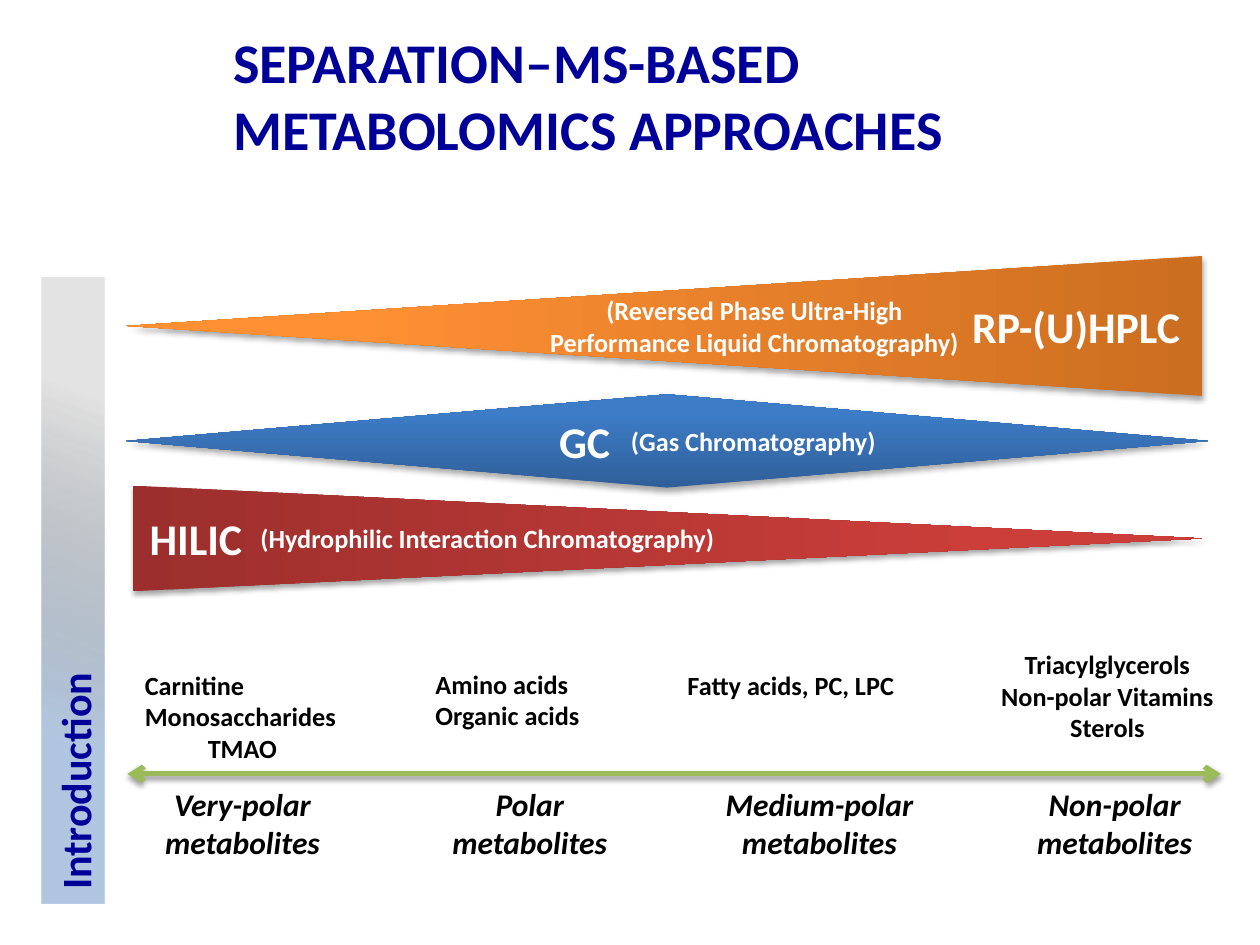
from lxml import etree
from pptx import Presentation
from pptx.dml.color import RGBColor
from pptx.enum.shapes import MSO_CONNECTOR, MSO_SHAPE
from pptx.enum.text import MSO_ANCHOR, PP_ALIGN
from pptx.oxml.ns import qn
from pptx.util import Cm, Pt

LEFT, CENTER = PP_ALIGN.LEFT, PP_ALIGN.CENTER
MIDDLE = MSO_ANCHOR.MIDDLE
RECTANGLE, TRAPEZOID = MSO_SHAPE.RECTANGLE, MSO_SHAPE.TRAPEZOID
DIAMOND = MSO_SHAPE.FLOWCHART_DECISION
STRAIGHT = MSO_CONNECTOR.STRAIGHT

FONT = "Calibri"
COLORS = {
    "navy": "000099", "black": "000000", "white": "FFFFFF",
    "axis": "9BBB59", "rail": "7AA0CC",
    "orange_dark": "CC6E20", "orange": "FF9034",
    "blue_dark": "2F5F99", "blue": "3D7CC7",
    "red_dark": "9C2F2D", "red": "CB3E3A",
}

BANDS = [
    ((2.55, 5.16, 21.69, 2.82), -90, "orange",
     ("RP-(U)HPLC", 16.8, 4.93, LEFT),
     ("(Reversed Phase Ultra-High Performance Liquid Chromatography)",
      8.09, 9.14, 1.55, CENTER)),
    ((2.54, 7.95, 21.82, 1.88), 0, "blue",
     ("GC", 7.67, 3.15, CENTER),
     ("(Gas Chromatography)", 9.93, 5.49, 0.89, LEFT)),
    ((2.68, 9.79, 21.56, 2.13), 90, "red",
     ("HILIC", -0.14, 2.82, CENTER),
     ("(Hydrophilic Interaction Chromatography)", 2.32, 9.75, 0.89, LEFT)),
]

CLASSES = [
    ("Very-polar metabolites", 2.32,
     "Carnitine\nMonosaccharides\n\tTMAO", (0.1, 0.41, 4.5, 2.18), LEFT),
    ("Polar metabolites", 8.11,
     "Amino acids\nOrganic acids", (5.96, 0.39, 3.43, 1.55), LEFT),
    ("Medium-polar metabolites", 13.95,
     "Fatty acids, PC, LPC", (11.04, 0.41, 4.75, 0.89), LEFT),
    ("Non-polar metabolites", 19.9,
     "Triacylglycerols\nNon-polar Vitamins\nSterols",
     (17.34, 0, 4.83, 2.18), CENTER),
]


def rgb(name):
    """Return the named colour."""
    return RGBColor.from_string(COLORS[name])


def add_text(page, box, text, size, color, align=LEFT, wrap=True, italic=False):
    """Add a bold text box whose lines share one format."""
    label = page.shapes.add_textbox(*map(Cm, box))
    frame = label.text_frame
    frame.word_wrap = wrap
    frame.text = text
    for para in frame.paragraphs:
        para.alignment = align
        for span in para.runs:
            span.font.name = FONT
            span.font.size = Pt(size)
            span.font.bold = True
            span.font.italic = italic
            span.font.color.rgb = rgb(color)
    return label


def add_gradient(shape, angle, stops):
    """Fill a shape with a two-stop gradient and remove its outline."""
    shape.line.fill.background()
    shape.fill.gradient()
    shape.fill.gradient_angle = angle
    for stop, (position, color) in zip(shape.fill.gradient_stops, stops):
        stop.position = position
        stop.color.rgb = rgb(color)


def add_rail(page, box, title):
    """Draw the translucent side rail with its upward section title."""
    left, top, width, height = box
    rail = page.shapes.add_shape(RECTANGLE, *map(Cm, box))
    rail.shadow.inherit = False
    add_gradient(rail, 70, [(0.26, "rail"), (0.81, "black")])
    for color, alpha in zip(rail.fill._xPr.iter(qn("a:srgbClr")), (58000, 11000)):
        etree.SubElement(color, qn("a:alpha")).set("val", str(alpha))
    length, depth = 12.5, 1.27
    center_x, center_y = left + width / 2 + 0.03, top + height / 2 + 0.04
    label = add_text(page, (center_x - length / 2, center_y - depth / 2,
                            length, depth), title, 24, "navy")
    label.rotation = 270


def add_band(page, box, rotation, color, name, note):
    """Draw one technique band with its name and explanation."""
    left, top, width, height = box
    middle = top + height / 2
    across, along = (height, width) if rotation else (width, height)
    frame = (left + (width - across) / 2, middle - along / 2, across, along)
    kind = TRAPEZOID if rotation else DIAMOND
    band = page.shapes.add_shape(kind, *map(Cm, frame))
    band.rotation = rotation
    if rotation:
        band.adjustments[0] = 0.5
    add_gradient(band, 90, [(0, color + "_dark"), (0.8, color)])
    text, offset, text_width, align = name
    add_text(page, (left + offset, middle - 0.66, text_width, 1.32),
             text, 25, "white", align).text_frame.vertical_anchor = MIDDLE
    text, offset, text_width, text_height, align = note
    add_text(page, (left + offset, middle - text_height / 2, text_width, text_height),
             text, 15, "white", align,
             wrap=text_height > 1).text_frame.vertical_anchor = MIDDLE


def add_polarity_axis(page, box, classes):
    """Draw the polarity arrow with examples above and classes below."""
    left, top, width, height = box
    axis_y = Cm(top + 2.65)
    axis = page.shapes.add_connector(STRAIGHT, Cm(left), axis_y,
                                     Cm(left + width), axis_y)
    axis.line.color.rgb = rgb("axis")
    axis.line.width = Pt(3)
    for end in ("a:headEnd", "a:tailEnd"):
        etree.SubElement(axis.line._get_or_add_ln(), qn(end)).set("type", "arrow")
    label_width, label_height = 4.65, 1.8
    for title, center, examples, (x, y, w, h), align in classes:
        add_text(page, (left + x, top + y, w, h), examples, 15, "black",
                 align, wrap=False)
        add_text(page, (left + center - label_width / 2, top + height - label_height,
                        label_width, label_height),
                 title, 18, "black", CENTER, italic=True)


def main():
    """Build and save the deck."""
    deck = Presentation()
    deck.slide_width, deck.slide_height = Cm(25.4), Cm(19.05)
    page = deck.slides.add_slide(deck.slide_layouts[6])
    add_rail(page, (0.84, 5.59, 1.27, 12.62), "Introduction")
    add_text(page, (4.45, 0.43, 17.88, 3),
             "SEPARATION–MS-BASED METABOLOMICS APPROACHES", 32, "navy")
    for band in BANDS:
        add_band(page, *band)
    add_polarity_axis(page, (2.57, 12.95, 22.04, 4.55), CLASSES)
    deck.save("out.pptx")


if __name__ == "__main__":
    main()
